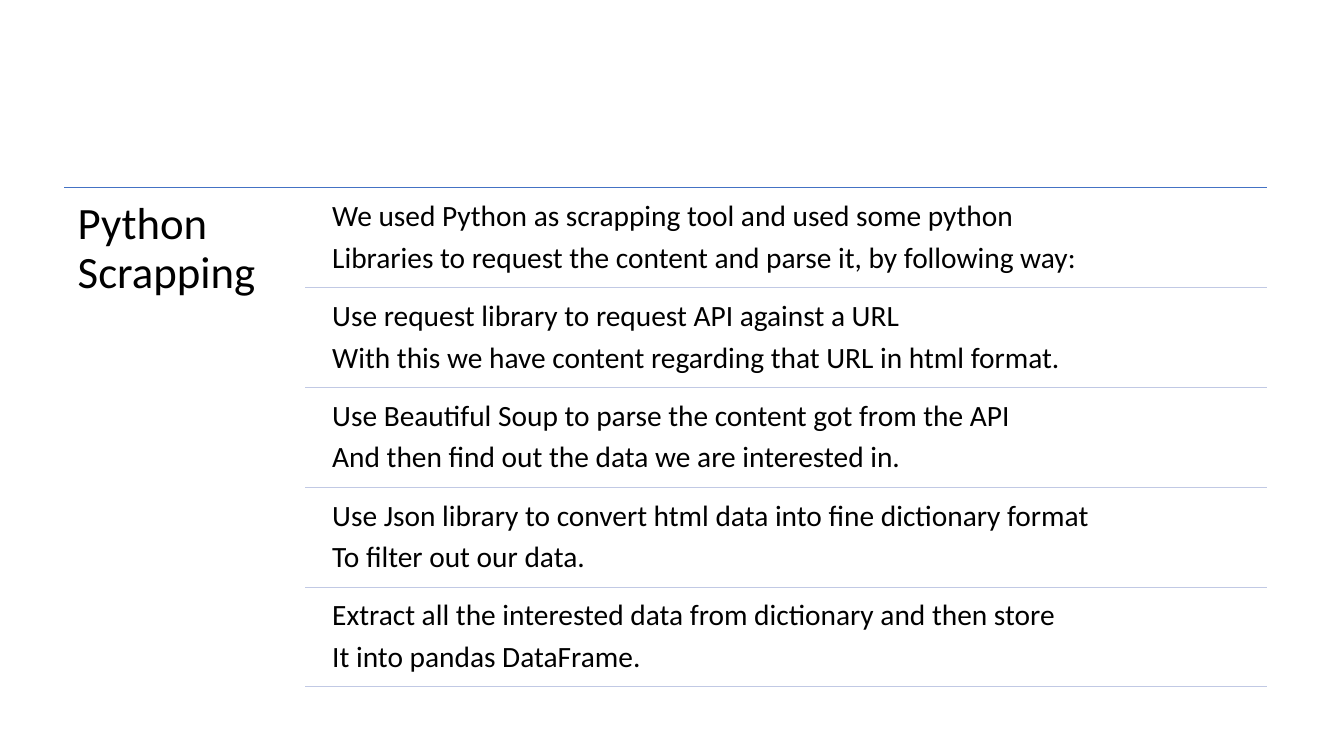
from pptx import Presentation
from pptx.dml.color import RGBColor
from pptx.enum.shapes import MSO_CONNECTOR
from pptx.enum.text import MSO_ANCHOR, MSO_AUTO_SIZE, PP_ALIGN
from pptx.oxml.ns import qn
from pptx.util import Pt
from lxml import etree

STRAIGHT = MSO_CONNECTOR.STRAIGHT
TOP = MSO_ANCHOR.TOP
NO_FIT = MSO_AUTO_SIZE.NONE
LEFT = PP_ALIGN.LEFT

TITLE_ONLY = 5


def colour(value):
    return RGBColor.from_string(value)


class Page:
    """Holds the style and the current slide."""

    font = "Calibri"
    ink = "000000"
    line_spacing = 0.9

    def __init__(self, deck):
        self.slide = deck.slides.add_slide(deck.slide_layouts[TITLE_ONLY])

    def fill_text(self, box, text, size, inset, space_after):
        frame = box.text_frame
        frame.word_wrap = True
        frame.auto_size = NO_FIT
        frame.vertical_anchor = TOP
        frame.margin_left = frame.margin_right = Pt(inset)
        frame.margin_top = frame.margin_bottom = Pt(inset)
        frame.text = text
        for para in frame.paragraphs:
            para.alignment = LEFT
            para.line_spacing = self.line_spacing
            para.space_before = Pt(0)
            para.space_after = Pt(space_after)
            for span in para.runs:
                span.font.name = self.font
                span.font.size = Pt(size)
                span.font.color.rgb = colour(self.ink)

    def title(self, text, left, top, width, height):
        box = self.slide.shapes.title
        box.left, box.top = Pt(left), Pt(top)
        box.width, box.height = Pt(width), Pt(height)
        self.fill_text(box, text, size=32, inset=9.5, space_after=11)

    def text(self, text, left, top, width, height):
        box = self.slide.shapes.add_textbox(Pt(left), Pt(top), Pt(width), Pt(height))
        self.fill_text(box, text, size=21, inset=6.3, space_after=7)

    def rule(self, left, right, y, line_colour):
        line = self.slide.shapes.add_connector(
            STRAIGHT, Pt(left), Pt(y), Pt(right), Pt(y))
        line.line.color.rgb = colour(line_colour)
        line.line.width = Pt(0.5)
        etree.SubElement(line._element.spPr, qn("a:effectLst"))


STEPS = [
    "We used Python as scrapping tool and used some python\n"
    "Libraries to request the content and parse it, by following way:",
    "Use request library to request API against a URL\n"
    "With this we have content regarding that URL in html format.",
    "Use Beautiful Soup to parse the content got from the API\n"
    "And then find out the data we are interested in.",
    "Use Json library to convert html data into fine dictionary format\n"
    "To filter out our data.",
    "Extract all the interested data from dictionary and then store\n"
    "It into pandas DataFrame.",
]

LIST_LEFT, LIST_RIGHT, LIST_TOP = 46, 905, 134
RULE_LEFT, TEXT_LEFT = 218, 231
ROW_HEIGHT, ROW_GAP = 67.8, 3.5


def main():
    deck = Presentation()
    deck.slide_width, deck.slide_height = Pt(960), Pt(540)
    page = Page(deck)

    # Heading column
    page.rule(LIST_LEFT, LIST_RIGHT, LIST_TOP, "4472C4")
    page.title("Python Scrapping", LIST_LEFT, LIST_TOP, 172, 360)

    # Steps, each closed by a thin rule
    for index, step in enumerate(STEPS):
        top = LIST_TOP + ROW_GAP + index * (ROW_HEIGHT + ROW_GAP)
        page.text(step, TEXT_LEFT, top, LIST_RIGHT - TEXT_LEFT, ROW_HEIGHT)
        page.rule(RULE_LEFT, LIST_RIGHT, top + ROW_HEIGHT, "C1C9E4")

    deck.save("out.pptx")


if __name__ == "__main__":
    main()
